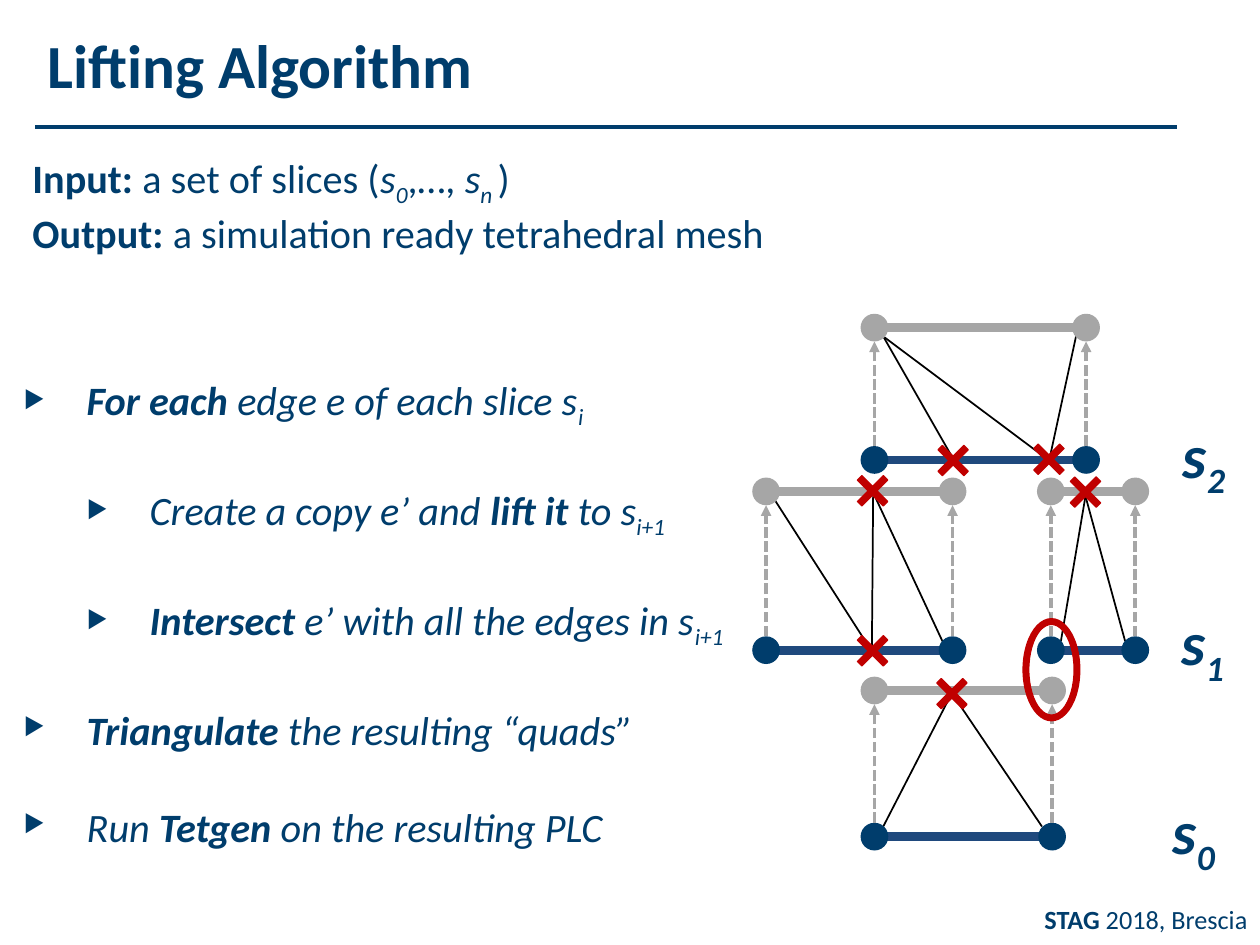
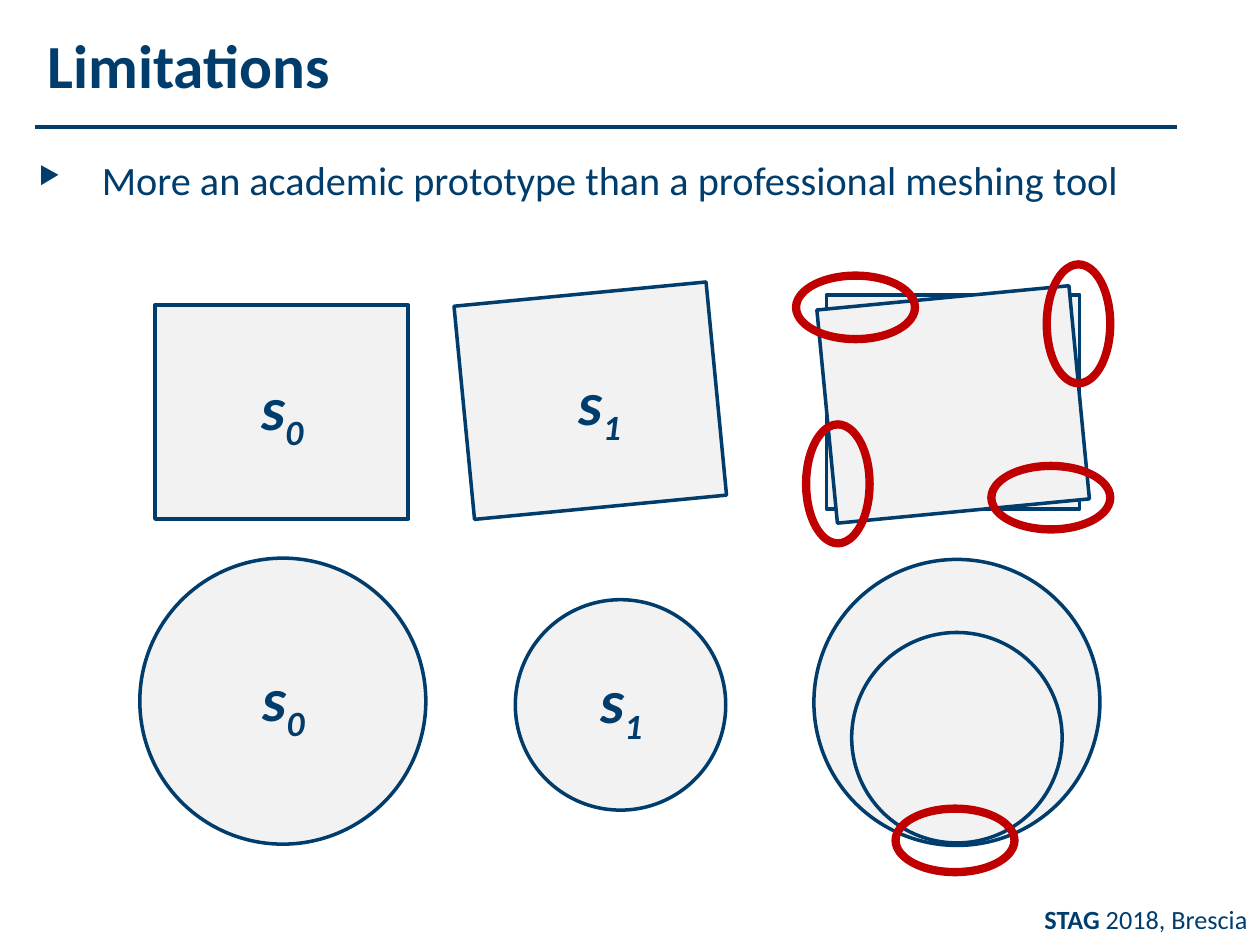
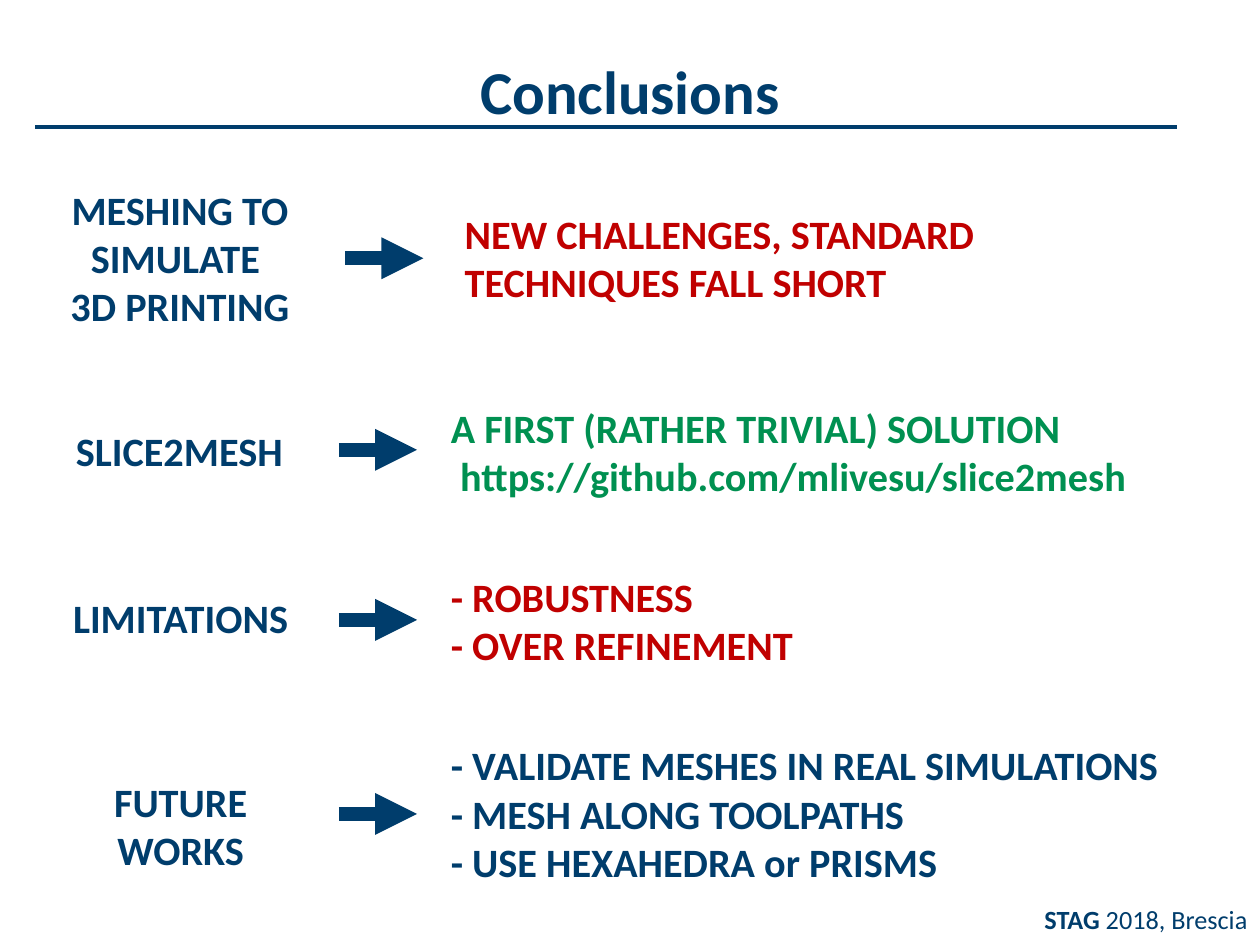
from lxml import etree
from pptx import Presentation
from pptx import util as u
from pptx.dml import color
from pptx.enum import dml, shapes, text
from pptx.oxml import ns

FONT = "Calibri"
NAVY = "003D6C"
BLUE = "1F497D"
GREY = "A6A6A6"
PALE = "F2F2F2"
RED = "C00000"
GREEN = "009051"
BLACK = "000000"
BODY_SIZE = 23
HEAD_SIZE = 35
NODE_RADIUS = 0.11
CROSS_SIZE = 0.29
CENTER = text.PP_ALIGN.CENTER
RIGHT = text.PP_ALIGN.RIGHT
ELLIPSE = shapes.MSO_SHAPE.OVAL
RECTANGLE = shapes.MSO_SHAPE.RECTANGLE


def rgb(value):
    return color.RGBColor.from_string(value)


def add_element(parent, tag, **attributes):
    return etree.SubElement(parent, ns.qn(tag), attributes)


def add_bullet(paragraph, indent):
    properties = paragraph._p.get_or_add_pPr()
    properties.set("marL", str(u.Inches(indent)))
    properties.set("indent", str(-u.Inches(0.5)))
    add_element(properties, "a:buSzPct", val="60000")
    add_element(properties, "a:buChar", char="▶")


def add_run(paragraph, content, marks, size, ink, baseline):
    run = paragraph.add_run()
    run.text = content
    run.font.name = FONT
    run.font.size = u.Pt(size)
    run.font.color.rgb = rgb(ink)
    run.font.bold = "b" in marks
    run.font.italic = "i" in marks
    if "_" in marks:
        baseline = -25
    if baseline:
        run._r.get_or_add_rPr().set("baseline", str(baseline * 1000))


def add_text(slide, left, top, width, height, paragraphs, size=BODY_SIZE, ink=NAVY,
             aligns=(), indents=(), gaps=(), wrap=True, baseline=0):
    box = slide.shapes.add_textbox(*map(u.Inches, (left, top, width, height)))
    frame = box.text_frame
    frame.word_wrap = wrap
    frame.auto_size = text.MSO_AUTO_SIZE.SHAPE_TO_FIT_TEXT
    for index, runs in enumerate(paragraphs):
        paragraph = frame.paragraphs[0] if index == 0 else frame.add_paragraph()
        if indents:
            paragraph.level = int(indents[index] > 0.5)
            add_bullet(paragraph, indents[index])
        if aligns:
            paragraph.alignment = aligns[index]
        if gaps and gaps[index]:
            paragraph.space_before = u.Pt(gaps[index])
        for content, marks in runs:
            add_run(paragraph, content, marks, size, ink, baseline)


def add_line(slide, start, end, ink, weight, dashed=False, arrow=False):
    connector = slide.shapes.add_connector(
        shapes.MSO_CONNECTOR.STRAIGHT, *map(u.Inches, (*start, *end)))
    connector.line.color.rgb = rgb(ink)
    connector.line.width = u.Pt(weight)
    if dashed:
        connector.line.dash_style = dml.MSO_LINE.SQUARE_DOT
    if arrow:
        add_element(connector.line._get_or_add_ln(), "a:tailEnd", type="triangle")
    add_element(connector._element.spPr, "a:effectLst")


def add_shape(slide, kind, left, top, width, height, fill, line=None, weight=2,
              rotation=0, adjustment=None):
    shape = slide.shapes.add_shape(kind, *map(u.Inches, (left, top, width, height)))
    shape.shadow.inherit = False
    shape.rotation = rotation
    shape.fill.solid()
    shape.fill.fore_color.rgb = rgb(fill)
    if line:
        shape.line.color.rgb = rgb(line)
        shape.line.width = u.Pt(weight)
    else:
        shape.line.fill.background()
    if adjustment is not None:
        shape.adjustments[0] = adjustment


def add_cross(slide, left, top):
    add_shape(slide, shapes.MSO_SHAPE.CROSS, left, top, CROSS_SIZE, CROSS_SIZE,
              RED, RED, 0.75, 315, 0.416)


def add_ring(slide, left, top, width=1, height=0.56, rotation=0):
    add_shape(slide, shapes.MSO_SHAPE.DONUT, left, top, width, height,
              RED, RED, 0.75, rotation, 0.1)


def add_edge(slide, left, right, y, bar, node):
    add_line(slide, (left, y), (right, y), bar, 5)
    for x in (left, right):
        add_shape(slide, ELLIPSE, x - NODE_RADIUS, y - NODE_RADIUS,
                  2 * NODE_RADIUS, 2 * NODE_RADIUS, node)


def add_slice_label(slide, left, top, width, height, index, aligns=(), wrap=True):
    add_text(slide, left, top, width, height, [[("s", "bi"), (index, "bi_")]],
             HEAD_SIZE, aligns=aligns, wrap=wrap)


def add_outline(slide, kind, left, top, width, height, rotation=0):
    add_shape(slide, kind, left, top, width, height, PALE, NAVY, rotation=rotation)


def add_title(slide, title, width):
    add_text(slide, 0.28, 0.17, width, 0.69, [[(title, "b")]], HEAD_SIZE, wrap=False)


def new_slide(presentation):
    slide = presentation.slides.add_slide(presentation.slide_layouts[6])
    add_line(slide, (0.28, 1.01), (9.34, 1.01), NAVY, 2)
    add_text(slide, 8.1, 7.12, 1.9, 0.35, [[("STAG", "b"), (" 2018, Brescia", "")]],
             15, aligns=[RIGHT], wrap=False)
    return slide


def add_lifting_diagram(slide):
    edges = [(6.94, 8.35, 6.64, 5.48), (6.08, 7.56, 5.16, 3.9),
             (8.34, 9.01, 5.16, 3.9), (6.94, 8.62, 3.65, 2.6)]
    diagonals = [
        (8.32, 3.65, 7.01, 2.67), (7.57, 3.65, 7.01, 2.67), (6.92, 5.17, 6.15, 3.97),
        (6.92, 5.16, 6.93, 3.9), (7.48, 5.09, 6.93, 3.91), (8.42, 5.09, 8.62, 3.91),
        (8.93, 5.09, 8.61, 3.92), (8.33, 3.64, 8.54, 2.67), (8.27, 6.56, 7.56, 5.51),
        (7.01, 6.56, 7.55, 5.51)]
    for x1, y1, x2, y2 in diagonals:
        add_line(slide, (x1, y1), (x2, y2), BLACK, 1)
    for left, right, base, lifted in edges:
        add_edge(slide, left, right, base, BLUE, NAVY)
    for left, top, index in [(9.21, 6.25, "0"), (9.28, 4.75, "1"), (9.29, 3.26, "2")]:
        add_slice_label(slide, left, top, 0.6, 0.69, index, wrap=False)
    for left, right, base, lifted in edges:
        add_edge(slide, left, right, lifted, GREY, GREY)
    for left, right, base, lifted in edges:
        for x in (left, right):
            add_line(slide, (x, base - NODE_RADIUS), (x, lifted + NODE_RADIUS),
                     GREY, 2, dashed=True, arrow=True)
    add_ring(slide, 7.94, 5.09, 0.81, 0.45, 270)
    for left, top in [(6.78, 3.75), (8.47, 3.76), (6.78, 5.02), (7.41, 5.36),
                      (7.42, 3.51), (8.18, 3.5)]:
        add_cross(slide, left, top)


def build_algorithm(presentation):
    slide = new_slide(presentation)
    add_title(slide, "Lifting Algorithm", 3.99)
    add_text(slide, 0.16, 1.17, 6.2, 0.88, [
        [("Input: ", "b"), ("a set of slices (", ""), ("s", "i"), ("0", "i_"),
         (",…, ", ""), ("s", "i"), ("n ", "i_"), (")", "")],
        [("Output:", "b"), (" a simulation ready tetrahedral mesh", "")],
    ], wrap=False)
    add_text(slide, 0.09, 2.93, 5.8, 3.86, [
        [("For each ", "bi"), ("edge e of each slice s", "i"), ("i", "i_")],
        [("Create a copy e’ and ", "i"), ("lift it", "bi"), (" to s", "i"), ("i+1", "i_")],
        [("Intersect ", "bi"), ("e’ with all the edges in s", "i"), ("i+1", "i_")],
        [("Triangulate", "bi"), (" the resulting “quads”", "i")],
        [("Run ", "i"), ("Tetgen ", "bi"), ("on the resulting PLC", "i")],
    ], indents=[0.5, 1, 1, 0.5, 0.5], gaps=[0, 31.5, 31.5, 31.5, 28])
    add_lifting_diagram(slide)


def build_limitations(presentation):
    slide = new_slide(presentation)
    add_title(slide, "Limitations", 2.69)
    add_text(slide, 0.21, 1.18, 9.13, 0.49,
             [[("More an academic prototype than a professional meshing tool", "")]],
             indents=[0.5])
    for left, top, rotation in [(1.23, 2.42, 0), (3.68, 2.33, 354.5),
                                (6.56, 2.34, 0), (6.56, 2.36, 354.5)]:
        add_outline(slide, RECTANGLE, left, top, 2.01, 1.7, rotation)
    for left, top, diameter in [(1.11, 4.43, 2.27), (4.09, 4.76, 1.67),
                                (6.46, 4.44, 2.27), (6.76, 5.02, 1.67)]:
        add_outline(slide, ELLIPSE, left, top, diameter, diameter)
    for left, top, index in [(1.68, 2.88, "0"), (4.2, 2.84, "1"),
                             (1.69, 5.19, "0"), (4.37, 5.21, "1")]:
        add_slice_label(slide, left, top, 1.12, 0.81, index, [CENTER])
    for left, top, rotation in [(8.06, 2.29, 270), (6.15, 3.56, 270), (6.29, 2.16, 0),
                                (7.84, 3.67, 0), (7.08, 6.39, 0)]:
        add_ring(slide, left, top, rotation=rotation)


def add_conclusion(slide, topic, topic_box, arrow_start, points, points_box, ink,
                   aligns=()):
    add_text(slide, *topic_box, [[(line, "b")] for line in topic],
             aligns=[CENTER] * len(topic))
    x, y = arrow_start
    add_line(slide, (x, y), (x + 0.62, y), NAVY, 8, arrow=True)
    add_text(slide, *points_box, [[(line, "b")] for line in points], ink=ink,
             aligns=aligns)


def build_conclusions(presentation):
    slide = new_slide(presentation)
    add_text(slide, 0, 0.28, 10, 1.11, [[("Conclusions", "b")]], 60,
             aligns=[CENTER], baseline=30)
    add_conclusion(slide, ["MESHING TO SIMULATE ", "3D PRINTING"],
                   (0.35, 1.42, 2.16, 1.26), (2.74, 2.05),
                   ["NEW CHALLENGES, STANDARD TECHNIQUES FALL SHORT"],
                   (3.59, 1.61, 5.64, 0.88), RED)
    add_conclusion(slide, ["SLICE2MESH"], (0.34, 3.33, 2.17, 0.49), (2.69, 3.57),
                   ["A FIRST (RATHER TRIVIAL) SOLUTION",
                    "https://github.com/mlivesu/slice2mesh"],
                   (3.48, 3.15, 5.64, 0.88), GREEN, [text.PP_ALIGN.LEFT, CENTER])
    add_conclusion(slide, ["LIMITATIONS"], (0.35, 4.66, 2.17, 0.49), (2.69, 4.92),
                   ["- ROBUSTNESS", "- OVER REFINEMENT"],
                   (3.48, 4.49, 5.27, 0.88), RED)
    add_conclusion(slide, ["FUTURE", "WORKS"], (0.35, 6.12, 2.17, 0.88), (2.69, 6.46),
                   ["- VALIDATE MESHES IN REAL SIMULATIONS",
                    "- MESH ALONG TOOLPATHS", "- USE HEXAHEDRA or PRISMS"],
                   (3.48, 5.83, 6.43, 1.26), NAVY)


def main():
    presentation = Presentation()
    presentation.slide_width = u.Inches(10)
    presentation.slide_height = u.Inches(7.5)
    build_algorithm(presentation)
    build_limitations(presentation)
    build_conclusions(presentation)
    presentation.save("out.pptx")


if __name__ == "__main__":
    main()
